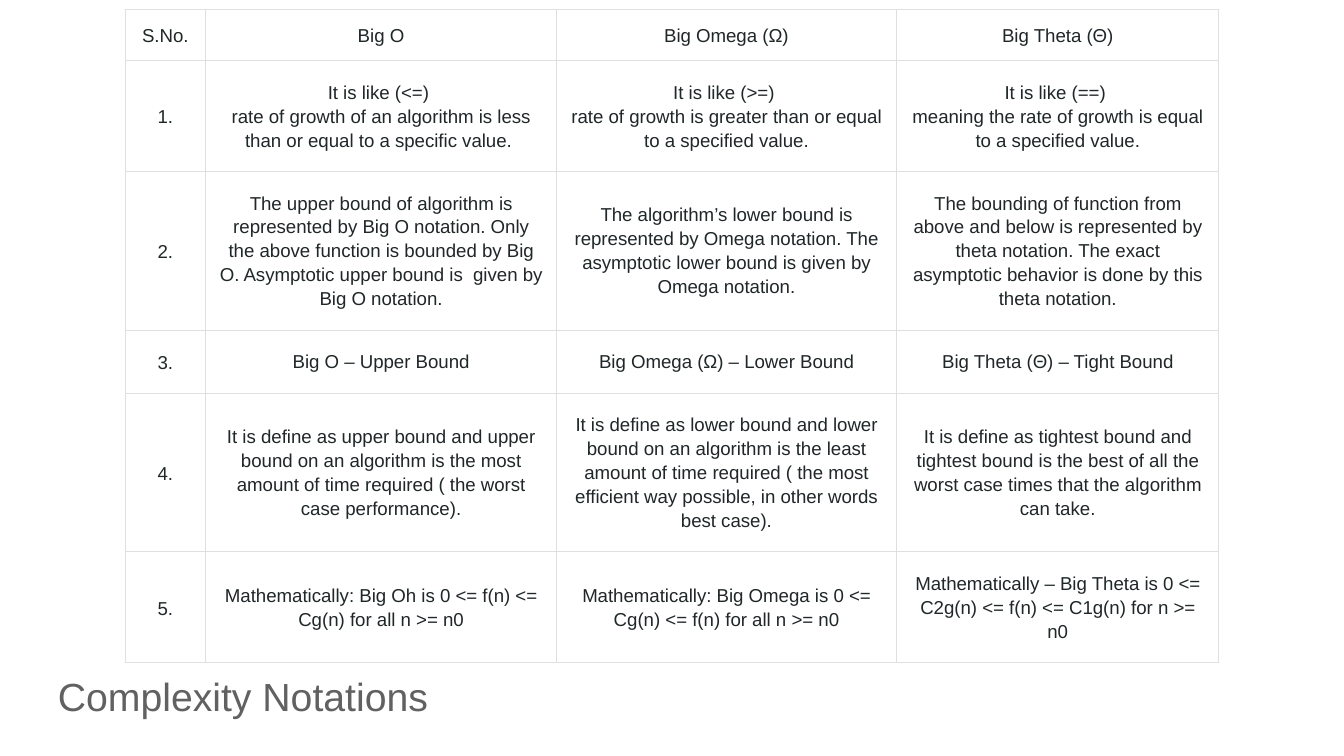
"""Builds a slide with a table that compares the three complexity notations."""
from dataclasses import dataclass

from lxml.etree import SubElement
from pptx import Presentation
from pptx.dml.color import RGBColor
from pptx.enum.text import MSO_ANCHOR as Anchor, MSO_AUTO_SIZE as AutoSize, PP_ALIGN as Align
from pptx.oxml.ns import qn
from pptx.util import Inches, Pt

TITLE = "Complexity Notations"
HEADER = ["S.No.", "Big O", "Big Omega (Ω)", "Big Theta (Θ)"]
COMPARISONS = [
    [
        "It is like (<=) \nrate of growth of an algorithm is less than or equal to a specific value. ",
        "It is like (>=) \nrate of growth is greater than or equal to a specified value.",
        "It is like (==) \nmeaning the rate of growth is equal to a specified value.",
    ],
    [
        "The upper bound of algorithm is represented by Big O notation. Only the above function "
        "is bounded by Big O. Asymptotic upper bound is  given by Big O notation.",
        "The algorithm’s lower bound is represented by Omega notation. "
        "The asymptotic lower bound is given by Omega notation.",
        "The bounding of function from above and below is represented by theta notation. "
        "The exact asymptotic behavior is done by this theta notation.",
    ],
    ["Big O – Upper Bound", "Big Omega (Ω) – Lower Bound", "Big Theta (Θ) – Tight Bound"],
    [
        "It is define as upper bound and upper bound on an algorithm is the most amount "
        "of time required ( the worst case performance).",
        "It is define as lower bound and lower bound on an algorithm is the least amount of time "
        "required ( the most efficient way possible, in other words best case).",
        "It is define as tightest bound and tightest bound is the best of all "
        "the worst case times that the algorithm can take.",
    ],
    [
        "Mathematically: Big Oh is 0 <= f(n) <= Cg(n) for all n >= n0",
        "Mathematically: Big Omega is 0 <= Cg(n) <= f(n) for all n >= n0",
        "Mathematically – Big Theta is 0 <= C2g(n) <= f(n) <= C1g(n) for n >= n0",
    ],
]
ROWS = [HEADER] + [[f"{number}.", *texts] for number, texts in enumerate(COMPARISONS, 1)]
COLUMN_WIDTHS = [0.6, 2.61, 2.53, 2.4]
ROW_HEIGHTS = [0.25, 0.55, 0.8, 0.3, 0.8, 0.43]


@dataclass(frozen=True)
class Theme:
    font: str = "Arial"
    background: str = "FFFFFF"
    title_color: str = "616161"
    cell_color: str = "202729"
    border_color: str = "DFDFDF"
    title_size: float = 21
    cell_size: float = 10
    border_width: float = 0.6


THEME = Theme()


def write_text(frame, text, *, size, color, align, line_spacing=1.0):
    frame.text = text
    for para in frame.paragraphs:
        para.alignment = align
        para.line_spacing = line_spacing
        for span in para.runs:
            span.font.name = THEME.font
            span.font.size = Pt(size)
            span.font.color.rgb = RGBColor.from_string(color)


def set_margins(target, side, top, bottom):
    target.margin_left = target.margin_right = Inches(side)
    target.margin_top = Inches(top)
    target.margin_bottom = Inches(bottom)


def draw_borders(cell):
    properties = cell._tc.get_or_add_tcPr()
    for index, side in enumerate(("lnL", "lnR", "lnT", "lnB")):
        line = SubElement(properties, qn(f"a:{side}"), w=str(Pt(THEME.border_width)))
        fill = SubElement(line, qn("a:solidFill"))
        SubElement(fill, qn("a:srgbClr"), val=THEME.border_color)
        properties.insert(index, line)


def format_cell(cell, text, row, column):
    side = 0.1 if column else 0.04
    top, bottom = (0.1, 0.1) if row == 0 else (0.14, 0.15) if column else (0.13, 0.13)
    set_margins(cell, side, top, bottom)
    cell.vertical_anchor = Anchor.MIDDLE
    cell.fill.background()
    draw_borders(cell)
    write_text(cell.text_frame, text, size=THEME.cell_size, color=THEME.cell_color,
               align=Align.CENTER, line_spacing=1.15)


def add_comparison_table(page):
    table = page.shapes.add_table(
        len(ROWS), len(COLUMN_WIDTHS), Inches(0.93), Inches(0.07),
        Inches(sum(COLUMN_WIDTHS)), Inches(sum(ROW_HEIGHTS))).table
    table.first_row = table.horz_banding = False
    for column, width in zip(table.columns, COLUMN_WIDTHS):
        column.width = Inches(width)
    for row, height in zip(table.rows, ROW_HEIGHTS):
        row.height = Inches(height)
    for row, texts in enumerate(ROWS):
        for column, text in enumerate(texts):
            format_cell(table.cell(row, column), text, row, column)
    table.cell(0, 0).text_frame.paragraphs[0].space_after = Pt(8)


def place_title(page):
    box = page.shapes.title
    box.left, box.top, box.width, box.height = map(Inches, (0.33, 4.85, 6.56, 0.65))
    frame = box.text_frame
    frame.auto_size = AutoSize.NONE
    frame.word_wrap = True
    frame.vertical_anchor = Anchor.MIDDLE
    set_margins(frame, 0.1, 0.1, 0.1)
    write_text(frame, TITLE, size=THEME.title_size, color=THEME.title_color, align=Align.LEFT)


def main():
    deck = Presentation()
    deck.slide_width = Inches(10)
    deck.slide_height = deck.slide_width * 9 // 16
    page = deck.slides.add_slide(deck.slide_layouts.get_by_name("Title Only"))
    page.background.fill.solid()
    page.background.fill.fore_color.rgb = RGBColor.from_string(THEME.background)
    add_comparison_table(page)
    place_title(page)
    deck.save("out.pptx")


if __name__ == "__main__":
    main()
